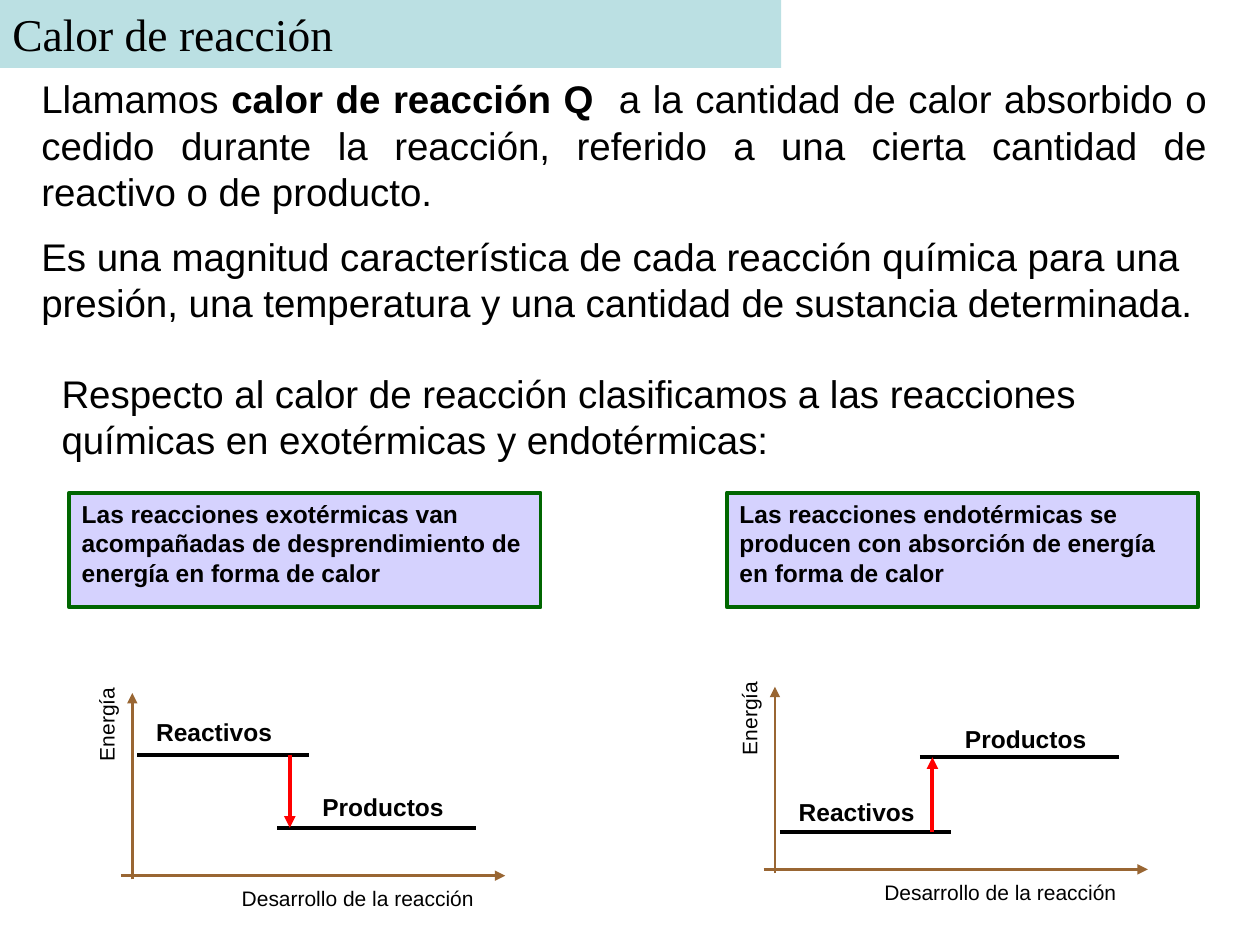
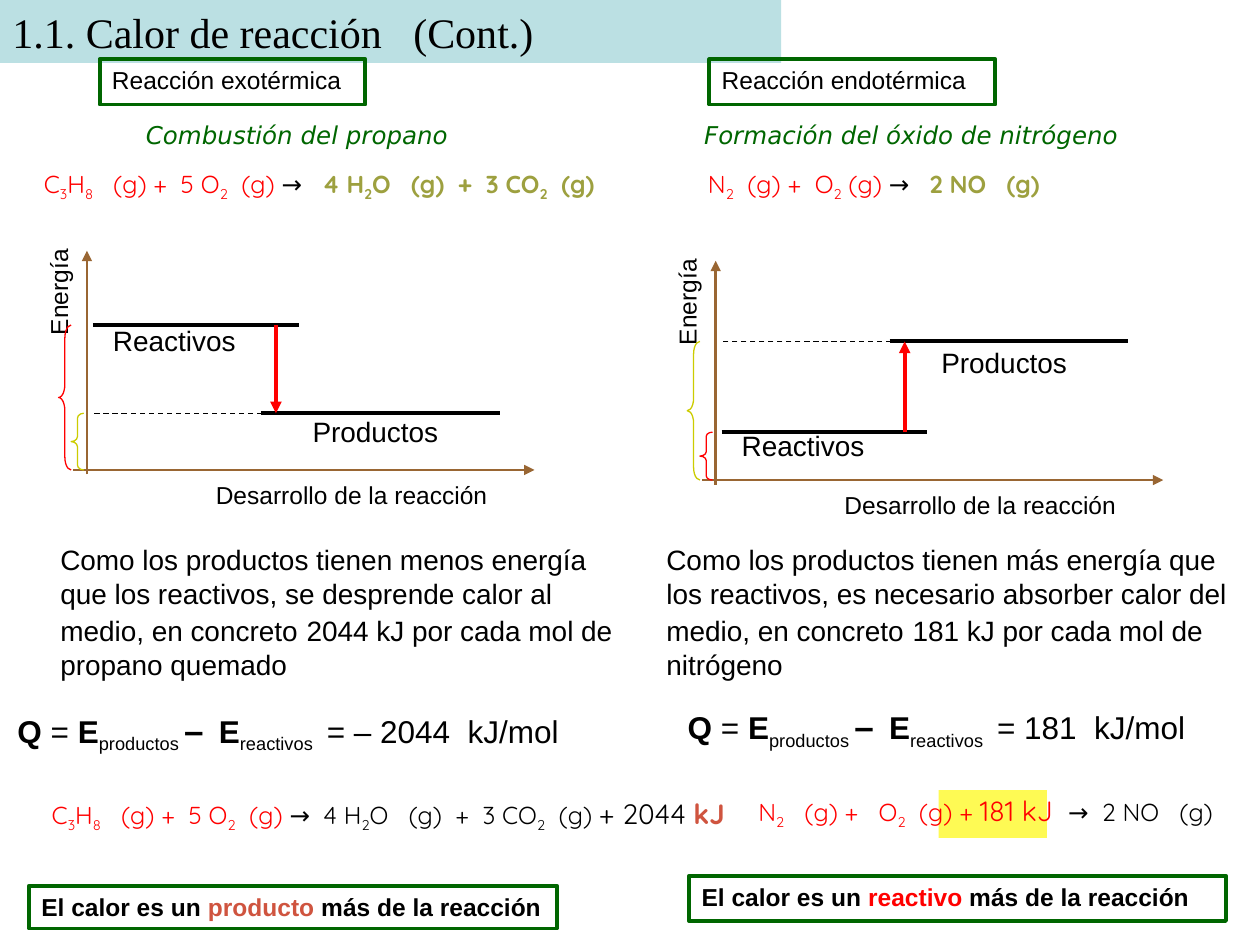
from lxml.etree import SubElement
from pptx import Presentation
from pptx.dml.color import RGBColor
from pptx.enum.dml import MSO_LINE
from pptx.enum.shapes import MSO_CONNECTOR as CONN, MSO_SHAPE as SHAPE
from pptx.enum.text import MSO_ANCHOR as ANCHOR, PP_ALIGN as ALIGN
from pptx.oxml.ns import qn
from pptx.util import Inches, Pt

BLACK, RED, GREEN = "000000", "FF0000", "006600"
BAND, LILAC, BROWN = "BBE0E3", "D5D2FE", "996633"
OLIVE, RUST, MUSTARD, YELLOW = "9DA03F", "CF543F", "CCCC00", "FEFA54"
SANS, SERIF, ROUND, WIDE = "Arial", "Times New Roman", "Quicksand", "DejaVu Sans"
COLUMNS, ROWS = 100, 75


def rgb(value):
    return RGBColor.from_string(value)


class Deck:
    def __init__(self):
        self.prs = Presentation()
        self.prs.slide_width, self.prs.slide_height = Inches(10), Inches(7.5)
        self.col = self.prs.slide_width / COLUMNS
        self.row = self.prs.slide_height / ROWS
        self.style = dict(size=14, font=SANS, color=BLACK, bold=False, italic=False)
        self.s = None

    def spot(self, x, y):
        return round(x * self.col), round(y * self.row)

    def slide(self, title, size, rows):
        self.s = self.prs.slides.add_slide(self.prs.slide_layouts[6])
        self.box((0, 0, 62, rows), [title], fill=BAND, size=size, font=SERIF)

    def runs(self, p, parts, **style):
        for part in parts:
            text, change = (part, {}) if isinstance(part, str) else part
            look = {**self.style, **style, **change}
            for i, piece in enumerate(text.split("_")):
                if not piece:
                    continue
                r = p.add_run()
                r.text = piece
                f = r.font
                f.size, f.name = Pt(look["size"]), look["font"]
                f.bold, f.italic = look["bold"], look["italic"]
                f.color.rgb = rgb(look["color"])
                if i % 2:
                    r._r.get_or_add_rPr().set("baseline", "-25000")

    def fill_text(self, sp, paragraphs, align=ALIGN.LEFT, **style):
        tf = sp.text_frame
        tf.word_wrap, tf.vertical_anchor = True, ANCHOR.TOP
        for i, parts in enumerate(paragraphs):
            p = tf.add_paragraph() if i else tf.paragraphs[0]
            p.alignment = align
            if i:
                p.space_before = Pt(style["size"] / 2)
            self.runs(p, parts, **style)

    def text(self, at, *paragraphs, rotation=0, **style):
        sp = self.s.shapes.add_textbox(*self.spot(*at[:2]), *self.spot(*at[2:]))
        sp.rotation = rotation
        self.fill_text(sp, paragraphs, **style)
        return sp

    def box(self, at, *paragraphs, kind=SHAPE.RECTANGLE, fill=None, line=None,
            weight=2.25, **style):
        sp = self.s.shapes.add_shape(kind, *self.spot(*at[:2]), *self.spot(*at[2:]))
        sp.shadow.inherit = False
        if fill:
            sp.fill.solid()
            sp.fill.fore_color.rgb = rgb(fill)
        else:
            sp.fill.background()
        if line:
            sp.line.color.rgb, sp.line.width = rgb(line), Pt(weight)
        else:
            sp.line.fill.background()
        self.fill_text(sp, paragraphs, **style)
        return sp

    def line(self, start, end, color=BLACK, weight=2.25, arrow=False, dash=False):
        c = self.s.shapes.add_connector(CONN.STRAIGHT, *self.spot(*start), *self.spot(*end))
        c.line.color.rgb, c.line.width = rgb(color), Pt(weight)
        if dash:
            c.line.dash_style = MSO_LINE.DASH
        if arrow:
            SubElement(c.line._get_or_add_ln(), qn("a:tailEnd"), type="triangle")
        SubElement(c._element.spPr, qn("a:effectLst"))

    def diagram(self, x, y, reactants, products, label_rows, k=1, axis_size=12,
                label_size=14, bold=True):
        self.line((x, y + 0.3 * k), (x, y - 14.5 * k), BROWN, 1.5, arrow=True)
        self.line((x - 0.9 * k, y), (x + 29.6 * k, y), BROWN, 1.5, arrow=True)
        levels = (("Reactivos", reactants, 0.4, 14, 0.9),
                  ("Productos", products, 11.5, 27.3, 14.1))
        for (name, level, left, right, indent), top in zip(levels, label_rows):
            self.line((x + left * k, level), (x + right * k, level))
            self.text((x + indent * k, top, 14.5, 3.7), [name], size=label_size, bold=bold)
        arrow_x = x + 12.5 * k
        self.line((arrow_x, reactants), (arrow_x, products), RED, arrow=True)
        self.text((x + 7.7 * k, y + 0.3, 26.8, 3.4), ["Desarrollo de la reacción"],
                  size=axis_size)
        length, height = 11, 3.2
        self.text((x - 1.95 * k - length / 2, y - 8.1 * k - length / 2 - height / 2,
                   length, height), ["Energía"], rotation=270, size=axis_size)

    def energy_braces(self, x, y, reactants, products):
        self.line((x + 13.9, products), (x + 0.5, products), weight=0.75, dash=True)
        levels = sorted([(reactants, RED), (products, MUSTARD)], reverse=True)
        for (level, color), shift in zip(levels, (1.25, 2.25)):
            height = y - level
            sp = self.box((x - shift, level, 1, height), kind=SHAPE.LEFT_BRACE,
                          line=color, weight=0.75)
            sp.adjustments[0] = 0.09 * height


def heat_of_reaction(d):
    d.slide("Calor de reacción", 26, 5.4)
    body = d.text(
        (2.3, 5.5, 94.5, 21.4),
        ["Llamamos ", ("calor de reacción Q", dict(bold=True)),
         "  a la cantidad de calor absorbido o cedido durante la reacción, "
         "referido a una cierta cantidad de reactivo o de producto."],
        ["Es una magnitud característica de cada reacción química para una presión, "
         "una temperatura y una cantidad de sustancia determinada."],
        size=22)
    body.text_frame.paragraphs[0].alignment = ALIGN.JUSTIFY
    d.text((3.9, 28.9, 90.6, 8.4),
           ["Respecto al calor de reacción clasificamos a las reacciones químicas "
            "en exotérmicas y endotérmicas:"], size=22)
    definitions = (
        (5.5, "Las reacciones exotérmicas van acompañadas de desprendimiento de "
              "energía en forma de calor"),
        (57.7, "Las reacciones endotérmicas se producen con absorción de energía "
               "en forma de calor"))
    for x, definition in definitions:
        d.box((x, 39.1, 37.4, 9.1), [definition], fill=LILAC, line=GREEN, bold=True)
    d.diagram(10.5, 69.5, 59.9, 65.7, (56.4, 62.4))
    d.diagram(61.5, 69, 66, 60.1, (62.8, 57))


def energy_balance(d):
    d.slide("1.1. Calor de reacción   (Cont.)", 24, 5)
    large = dict(k=1.2, axis_size=14, label_size=16, bold=False)
    for x, y, reactants, products, label_rows in (
            (6.9, 37.3, 25.8, 32.8, (25.2, 32.4)),
            (56.8, 38.1, 34.3, 27.1, (33.5, 26.9))):
        d.diagram(x, y, reactants, products, label_rows, **large)
        d.energy_braces(x, y, reactants, products)

    for at, kind in (((7.9, 4.7, 21.1, 3.6), "Reacción exotérmica"),
                     ((56.3, 4.7, 22.7, 3.6), "Reacción endotérmica")):
        d.box(at, [kind], line=GREEN)
    for at, example in (((10.6, 9, 27.7, 3.3), "Combustión del propano"),
                        ((54.9, 9, 37.8, 3.3), "Formación del óxido de nitrógeno")):
        d.text(at, [example], font=WIDE, color=GREEN, italic=True)

    black, olive = dict(color=BLACK), dict(color=OLIVE, bold=True)
    propane = "C_3_H_8_   (g) +  5 O_2_  (g) "
    burnt = "4 H_2_O   (g)  +  3 CO_2_  (g)"
    formula = dict(font=ROUND, color=RED)
    d.text((2.5, 12.9, 49, 3.3), [propane, ("→  ", black), (" " + burnt, olive)], **formula)
    d.text((55.2, 12.9, 34.8, 3.3),
           ["N_2_  (g) +  O_2_ (g) ", ("→   ", black), ("2 NO   (g)", olive)], **formula)

    explanations = (
        (3.8, "Como los productos tienen menos energía que los reactivos, se desprende "
              "calor al medio, en concreto", "2044 kJ por cada mol de propano quemado"),
        (51.9, "Como los productos tienen más energía que los reactivos, es necesario "
               "absorber calor del medio, en concreto", "181 kJ por cada mol de nitrógeno"))
    for x, reason, amount in explanations:
        d.text((x, 42.6, 46.8, 12), [reason, (" ", dict(size=18)), amount], size=16)

    bold = dict(bold=True)
    for x, y, heat in ((0.4, 55.7, "– 2044"), (53.6, 55.4, "181")):
        d.text((x, y, 47.3, 4.3),
               [("Q ", bold), "= ", ("E", bold), "_productos _",
                ("–", dict(size=20, bold=True)), "_   _", ("E", bold),
                f"_reactivos _ = {heat}  kJ/mol"], size=18)

    d.text((0, 62.7, 58.5, 3.7),
           [propane, (f"→  {burnt} ", black), ("+ 2044 ", dict(size=16, color=BLACK)),
            ("kJ", dict(size=16, color=RUST, bold=True))], align=ALIGN.RIGHT, **formula)
    d.box((74.5, 62.7, 8.6, 3.8), fill=YELLOW)
    d.text((59.2, 62.5, 40.8, 3.7),
           ["N_2_   (g) +   O_2_  (g) + ", ("181 kJ  ", dict(size=16)),
            ("→  2 NO   (g)", black)], **formula)

    for at, role, color in (((2.3, 70.3, 41.9, 3.4), "producto", RUST),
                            ((54.7, 69.5, 42.6, 3.6), "reactivo", RED)):
        d.box(at, ["El calor es un ", (role, dict(color=color)), " más de la reacción"],
              line=GREEN, bold=True)


def main():
    d = Deck()
    heat_of_reaction(d)
    energy_balance(d)
    d.prs.save("out.pptx")


if __name__ == "__main__":
    main()
